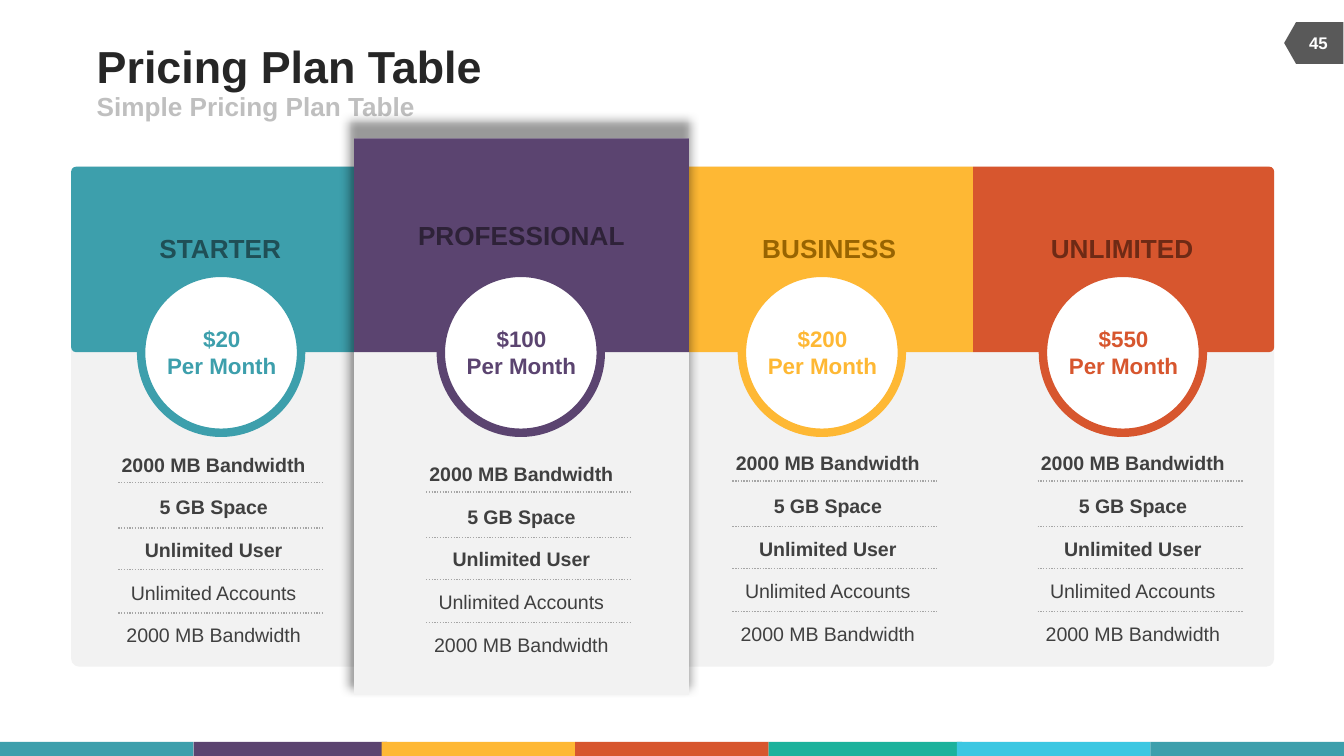
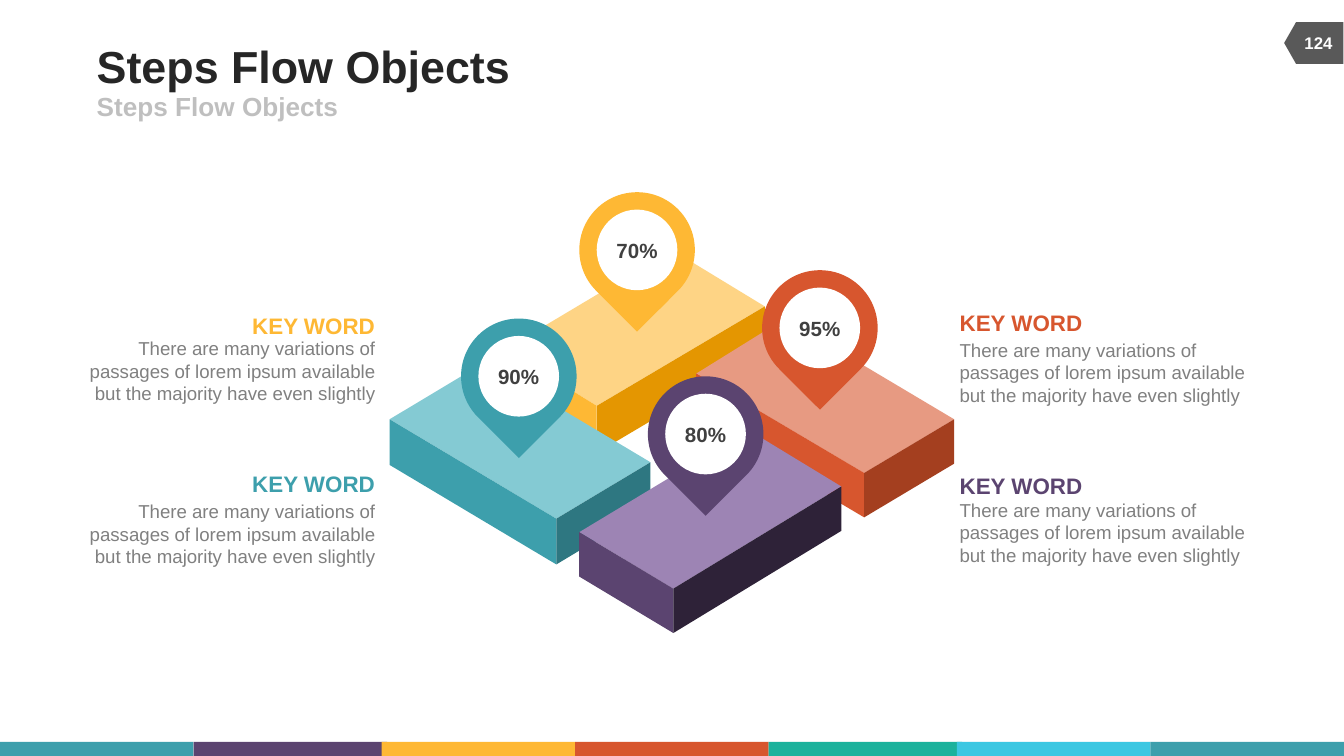
from lxml import etree
from pptx import Presentation
from pptx.dml.color import RGBColor
from pptx.enum.dml import MSO_LINE
from pptx.enum.shapes import MSO_CONNECTOR, MSO_SHAPE
from pptx.enum.text import MSO_ANCHOR, PP_ALIGN
from pptx.oxml import parse_xml
from pptx.oxml.ns import qn
from pptx.util import Inches, Pt

LEFT, CENTER, RIGHT = PP_ALIGN.LEFT, PP_ALIGN.CENTER, PP_ALIGN.RIGHT
TOP, MIDDLE = MSO_ANCHOR.TOP, MSO_ANCHOR.MIDDLE
RECT, OVAL = MSO_SHAPE.RECTANGLE, MSO_SHAPE.OVAL
ROUNDED, TEARDROP = MSO_SHAPE.ROUND_2_SAME_RECTANGLE, MSO_SHAPE.TEAR
BADGE = MSO_SHAPE.FLOWCHART_OFFPAGE_CONNECTOR
STRAIGHT, DOTTED = MSO_CONNECTOR.STRAIGHT, MSO_LINE.ROUND_DOT

FONT = "Arial"
WHITE = RGBColor(0xFF, 0xFF, 0xFF)
PANEL = RGBColor(0xF2, 0xF2, 0xF2)
INK = RGBColor(0x26, 0x26, 0x26)
TEXT = RGBColor(0x40, 0x40, 0x40)
SLATE = RGBColor(0x59, 0x59, 0x59)
BODY = RGBColor(0x80, 0x80, 0x80)
RULE = RGBColor(0xA6, 0xA6, 0xA6)
PALE = RGBColor(0xBF, 0xBF, 0xBF)
TEAL = RGBColor(0x3D, 0x9F, 0xAC)
TEAL_LIGHT = RGBColor(0x84, 0xCA, 0xD3)
TEAL_SHADE = RGBColor(0x2E, 0x77, 0x81)
TEAL_DARK = RGBColor(0x1F, 0x4F, 0x56)
PURPLE = RGBColor(0x5B, 0x44, 0x70)
PURPLE_LIGHT = RGBColor(0x9D, 0x84, 0xB4)
PURPLE_DARK = RGBColor(0x2E, 0x22, 0x38)
YELLOW = RGBColor(0xFE, 0xB8, 0x34)
YELLOW_LIGHT = RGBColor(0xFE, 0xD4, 0x85)
YELLOW_SHADE = RGBColor(0xE4, 0x96, 0x01)
YELLOW_DARK = RGBColor(0x98, 0x64, 0x01)
RED = RGBColor(0xD7, 0x56, 0x2E)
RED_LIGHT = RGBColor(0xE7, 0x9A, 0x82)
RED_SHADE = RGBColor(0xA4, 0x3F, 0x1F)
RED_DARK = RGBColor(0x6E, 0x2A, 0x15)
GREEN = RGBColor(0x1B, 0xB2, 0x9C)
SKY = RGBColor(0x3B, 0xC7, 0xE2)

STRIP = [(0, TEAL), (1.44, PURPLE), (2.84, YELLOW), (4.28, RED),
         (5.72, GREEN), (7.12, SKY), (8.56, TEAL)]

FEATURES = ["2000 MB Bandwidth", "5 GB Space", "Unlimited User",
            "Unlimited Accounts", "2000 MB Bandwidth"]
BOLD_FEATURES = 3
RULE_OFFSETS = [0.36, 0.7, 1.01, 1.33]
HEADER_BOTTOM = 2.62
PLANS = [
    dict(name="STARTER", price="$20", color=TEAL, dark=TEAL_DARK, center=1.65,
         name_at=(1.64, 1.73), list_at=(0.72, 3.23), kind=ROUNDED, turn=270),
    dict(name="BUSINESS", price="$200", color=YELLOW, dark=YELLOW_DARK, center=6.12,
         name_at=(6.17, 1.73), list_at=(5.29, 3.22), kind=RECT, turn=270),
    dict(name="UNLIMITED", price="$550", color=RED, dark=RED_DARK, center=8.36,
         name_at=(8.35, 1.73), list_at=(7.56, 3.22), kind=ROUNDED, turn=90),
    dict(name="PROFESSIONAL", price="$100", color=PURPLE, dark=PURPLE_DARK, center=3.88,
         name_at=(3.88, 1.63), list_at=(3.01, 3.3), kind=RECT, turn=270, featured=True),
]

BLOCKS = [
    dict(left=(3.76, 2.6), back=(5, 1.86), right=(5.69, 2.28), front=(4.44, 3.02),
         depth=0.35, colors=(YELLOW_LIGHT, YELLOW, YELLOW_SHADE)),
    dict(left=(5.18, 2.78), back=(5.84, 2.37), right=(7.1, 3.12), front=(6.43, 3.52),
         depth=0.33, colors=(RED_LIGHT, RED, RED_SHADE)),
    dict(left=(2.9, 3.12), back=(3.6, 2.7), right=(4.84, 3.44), front=(4.14, 3.86),
         depth=0.34, colors=(TEAL_LIGHT, TEAL, TEAL_SHADE)),
    dict(left=(4.31, 3.96), back=(5.57, 3.2), right=(6.26, 3.62), front=(5.01, 4.38),
         depth=0.33, colors=(PURPLE_LIGHT, PURPLE, PURPLE_DARK)),
]
PINS = [("90%", 3.43, 2.37, TEAL), ("80%", 4.82, 2.8, PURPLE),
        ("70%", 4.31, 1.43, YELLOW), ("95%", 5.67, 2.01, RED)]
KEY_TEXT = ("There are many variations of passages of lorem ipsum available "
            "but the majority have even slightly")
KEY_WORDS = [(7.14, 3.51, 3.71, LEFT, PURPLE), (7.14, 2.3, 2.52, LEFT, RED),
             (0.66, 3.5, 3.72, RIGHT, TEAL), (0.66, 2.32, 2.51, RIGHT, YELLOW)]


def write(shape, text, size, color, bold=True, align=LEFT, anchor=TOP, wrap=True, inset=0):
    frame = shape.text_frame
    frame.text = text
    frame.word_wrap = wrap
    frame.vertical_anchor = anchor
    frame.margin_left = frame.margin_right = Inches(inset)
    frame.margin_top = frame.margin_bottom = Inches(inset / 2)
    for para in frame.paragraphs:
        para.alignment = align
        for span in para.runs:
            span.font.name = FONT
            span.font.size = Pt(size)
            span.font.bold = bold
            span.font.color.rgb = color
        for line_break in para._p.findall(qn("a:br")):
            etree.SubElement(line_break, qn("a:rPr"), sz=str(int(size * 100)))
    return frame


def add_text(page, place, text, size, color, **style):
    box = page.shapes.add_textbox(*map(Inches, place))
    return write(box, text, size, color, **style)


def paint(shape, color):
    shape.shadow.inherit = False
    shape.fill.solid()
    shape.fill.fore_color.rgb = color
    shape.line.fill.background()
    return shape


def add_filled(page, kind, place, color, turn=0):
    shape = paint(page.shapes.add_shape(kind, *map(Inches, place)), color)
    shape.rotation = turn
    return shape


def add_turned(page, kind, center, top, width, height, color, turn):
    middle = top + height / 2
    place = (center - height / 2, middle - width / 2, height, width)
    shape = add_filled(page, kind, place, color, turn)
    if kind == ROUNDED:
        shape.adjustments[0] = 0.026
        shape.adjustments[1] = 0
    return shape


def add_polygon(page, points, color):
    corners = [(Inches(x), Inches(y)) for x, y in points]
    builder = page.shapes.build_freeform(*corners[0])
    builder.add_line_segments(corners[1:], close=True)
    paint(builder.convert_to_shape(), color)


def add_glow(shape):
    properties = shape._element.spPr
    properties.remove(properties.find(qn("a:effectLst")))
    properties.append(parse_xml(
        '<a:effectLst xmlns:a="http://schemas.openxmlformats.org/drawingml/2006/main">'
        '<a:outerShdw blurRad="63500" sx="102000" sy="102000" algn="b" rotWithShape="0">'
        '<a:srgbClr val="000000"><a:alpha val="40000"/></a:srgbClr>'
        '</a:outerShdw></a:effectLst>'))


def add_page(deck, title, subtitle, number):
    page = deck.slides.add_slide(deck.slide_layouts[6])
    for left, color in STRIP:
        add_filled(page, RECT, (left, 5.52, 1.44, 0.11), color)
    add_filled(page, BADGE, (9.62, 0.1, 0.31, 0.44), SLATE, 90)
    add_text(page, (0.72, 0.29, 6.17, 0.39), title, 24, INK, anchor=MIDDLE)
    add_text(page, (0.72, 0.68, 4.5, 0.22), subtitle, 14, PALE, anchor=MIDDLE)
    add_text(page, (9.6, 0.17, 0.42, 0.3), number, 9, WHITE,
             align=CENTER, anchor=MIDDLE, wrap=False, inset=0.1)
    return page


def add_card(page, plan):
    featured = plan.get("featured", False)
    top, width, height = (1.03, 2.49, 4.14) if featured else (1.24, 2.24, 3.72)
    center, kind, turn = plan["center"], plan["kind"], plan["turn"]
    panel = add_turned(page, kind, center, top, width, height, PANEL, turn)
    if featured:
        add_glow(panel)
    add_turned(page, kind, center, top, width, HEADER_BOTTOM - top, plan["color"], turn)


def add_plan_details(page, plan):
    center, color = plan["center"], plan["color"]
    ring = add_filled(page, OVAL, (center - 0.6, 2.03, 1.19, 1.19), WHITE)
    ring.line.color.rgb = color
    ring.line.width = Pt(4.5)
    name_center, name_top = plan["name_at"]
    add_text(page, (name_center - 0.78, name_top, 1.56, 0.24), plan["name"], 14,
             plan["dark"], align=CENTER, wrap=False)
    add_text(page, (center - 0.41, 2.42, 0.82, 0.4), plan["price"] + "\vPer Month", 12,
             color, align=CENTER, wrap=False)
    left, top = plan["list_at"]
    frame = add_text(page, (left, top, 1.74, 1.65), "\n".join(FEATURES), 10.5, TEXT,
                     align=CENTER, inset=0.1)
    for index, para in enumerate(frame.paragraphs):
        para.line_spacing = 1.5
        para.space_before = Pt(4 if index else 0)
        para.runs[0].font.bold = index < BOLD_FEATURES
    for offset in RULE_OFFSETS:
        ends = (left + 0.16, top + offset, left + 1.69, top + offset)
        rule = page.shapes.add_connector(STRAIGHT, *map(Inches, ends))
        rule.line.color.rgb = RULE
        rule.line.width = Pt(0.75)
        rule.line.dash_style = DOTTED
        etree.SubElement(rule._element.spPr, qn("a:effectLst"))


def add_block(page, block):
    left, back, right, front = (block[side] for side in ("left", "back", "right", "front"))
    low_left, low_right, low_front = ((x, y + block["depth"]) for x, y in (left, right, front))
    faces = [(left, back, right, front),
             (left, front, low_front, low_left),
             (front, right, low_right, low_front)]
    for points, color in zip(faces, block["colors"]):
        add_polygon(page, points, color)


def build_pricing(deck):
    page = add_page(deck, "Pricing Plan Table", "Simple Pricing Plan Table", "45")
    for plan in PLANS:
        add_card(page, plan)
    for plan in PLANS:
        add_plan_details(page, plan)


def build_steps(deck):
    page = add_page(deck, "Steps Flow Objects", "Steps Flow Objects", "124")
    for block in BLOCKS:
        add_block(page, block)
    for value, left, top, color in PINS:
        add_filled(page, TEARDROP, (left, top, 0.86, 0.86), color, 135)
        disc = add_filled(page, OVAL, (left + 0.13, top + 0.13, 0.6, 0.6), WHITE)
        write(disc, value, 11, TEXT, align=CENTER, anchor=MIDDLE)
    for left, word_top, text_top, align, color in KEY_WORDS:
        word_left = left + 1.21 if align == RIGHT else left
        add_text(page, (word_left, word_top, 0.92, 0.2), "KEY WORD", 12, color,
                 align=align, anchor=MIDDLE, wrap=False)
        add_text(page, (left, text_top, 2.13, 0.5), KEY_TEXT, 10, BODY,
                 bold=False, align=align, anchor=MIDDLE)


def main():
    deck = Presentation()
    deck.slide_width = Inches(10)
    deck.slide_height = deck.slide_width * 9 // 16
    build_pricing(deck)
    build_steps(deck)
    deck.save("out.pptx")


if __name__ == "__main__":
    main()
